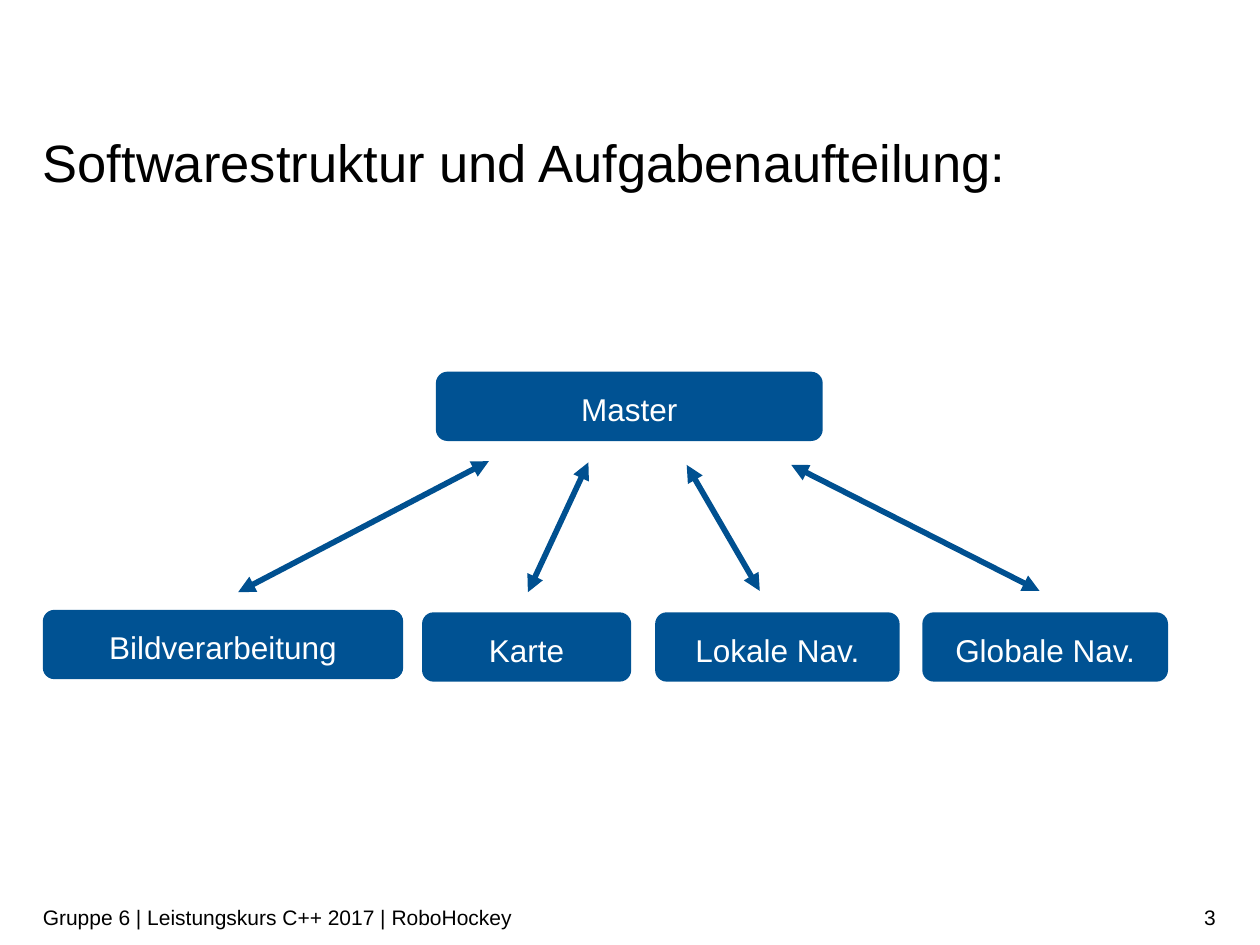
"""Build the slide on software structure and task division."""
import dataclasses

import pptx
import pptx.dml.color
import pptx.enum.shapes
import pptx.enum.text
import pptx.oxml
import pptx.oxml.ns
import pptx.util

Inches = pptx.util.Inches
Pt = pptx.util.Pt
RGB = pptx.dml.color.RGBColor
ALIGN = pptx.enum.text.PP_ALIGN
ANCHOR = pptx.enum.text.MSO_ANCHOR


@dataclasses.dataclass(frozen=True)
class Theme:
    font: str = "Arial"
    text: RGB = RGB(0x00, 0x00, 0x00)
    module_fill: RGB = RGB(0x00, 0x52, 0x93)
    module_text: RGB = RGB(0xFF, 0xFF, 0xFF)
    arrow: RGB = RGB(0x00, 0x50, 0x90)
    arrow_width: Pt = Pt(3.25)
    title_size: Pt = Pt(30)
    module_size: Pt = Pt(18)
    footer_size: Pt = Pt(12)


THEME = Theme()


def write(shape, text, size, color, align, anchor, spacing=None):
    frame = shape.text_frame
    frame.text = text
    frame.word_wrap = True
    frame.vertical_anchor = anchor
    paragraph = frame.paragraphs[0]
    paragraph.alignment = align
    paragraph.line_spacing = spacing
    font = paragraph.runs[0].font
    font.name = THEME.font
    font.size = size
    font.color.rgb = color


def add_label(left, top, width, height, inset, *style):
    box = slide.shapes.add_textbox(Inches(left), Inches(top), Inches(width), Inches(height))
    write(box, *style)
    frame = box.text_frame
    frame.margin_left = frame.margin_right = 0
    frame.margin_top = frame.margin_bottom = Inches(inset)


presentation = pptx.Presentation()
presentation.slide_width = Inches(10)
presentation.slide_height = Inches(7.5)
slide = presentation.slides.add_slide(presentation.slide_layouts[6])

margin = 0.34
add_label(margin, 1.09, 9.31, 0.45, 0, "Softwarestruktur und Aufgabenaufteilung:",
          THEME.title_size, THEME.text, ALIGN.LEFT, ANCHOR.TOP, Pt(32))

footers = [
    ("Gruppe 6 | Leistungskurs C++ 2017 | RoboHockey", margin, 7.07, ALIGN.LEFT),
    ("3", 7.41, 2.24, ALIGN.RIGHT),
]
for text, left, width, align in footers:
    add_label(left, 7.08, width, 0.4, 0.05, text,
              THEME.footer_size, THEME.text, align, ANCHOR.MIDDLE)

arrows = [
    (3.88, 3.66, 1.89, 4.7),
    (4.67, 3.67, 4.19, 4.7),
    (5.45, 3.69, 6.03, 4.69),
    (6.28, 3.69, 8.25, 4.69),
]
for ends in arrows:
    arrow = slide.shapes.add_connector(
        pptx.enum.shapes.MSO_CONNECTOR.STRAIGHT, *map(Inches, ends))
    arrow.line.color.rgb = THEME.arrow
    arrow.line.width = THEME.arrow_width
    outline = arrow.line._get_or_add_ln()
    for tag in ("a:headEnd", "a:tailEnd"):
        outline.append(pptx.oxml.parse_xml(
            f'<{tag} {pptx.oxml.ns.nsdecls("a")} type="triangle"/>'))
    arrow._element.spPr.append(pptx.oxml.parse_xml(
        f'<a:effectLst {pptx.oxml.ns.nsdecls("a")}/>'))

modules = [
    ("Master", 3.46, 2.95, 3.07),
    ("Bildverarbeitung", margin, 4.84, 2.86),
    ("Karte", 3.35, 4.86, 1.66),
    ("Lokale Nav.", 5.2, 4.86, 1.94),
    ("Globale Nav.", 7.32, 4.86, 1.95),
]
for name, left, top, width in modules:
    module = slide.shapes.add_shape(
        pptx.enum.shapes.MSO_SHAPE.FLOWCHART_ALTERNATE_PROCESS,
        Inches(left), Inches(top), Inches(width), Inches(0.55))
    module.shadow.inherit = False
    module.fill.solid()
    module.fill.fore_color.rgb = THEME.module_fill
    module.line.fill.background()
    write(module, name, THEME.module_size, THEME.module_text,
          ALIGN.CENTER, ANCHOR.MIDDLE, 1.14)

presentation.save("out.pptx")
